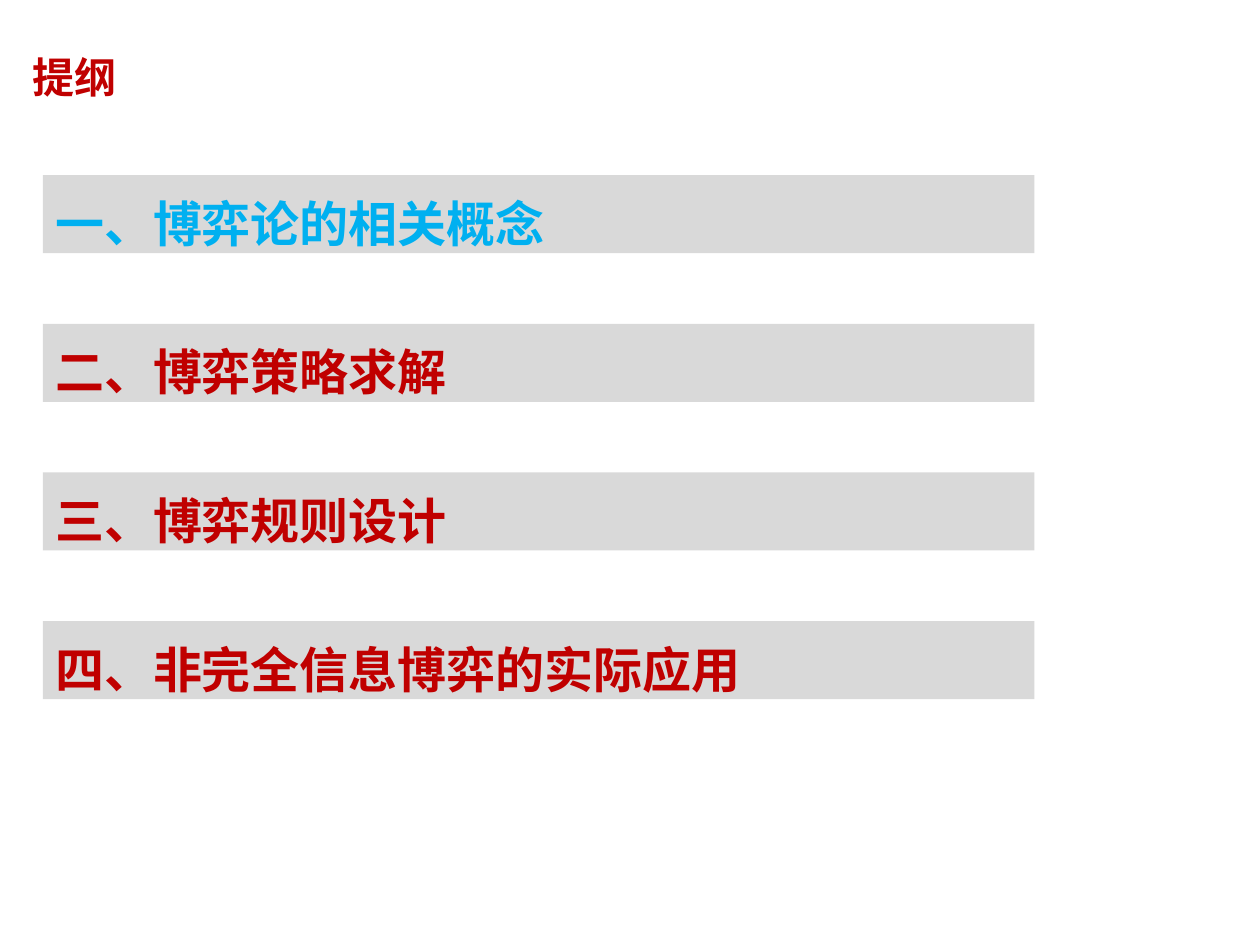
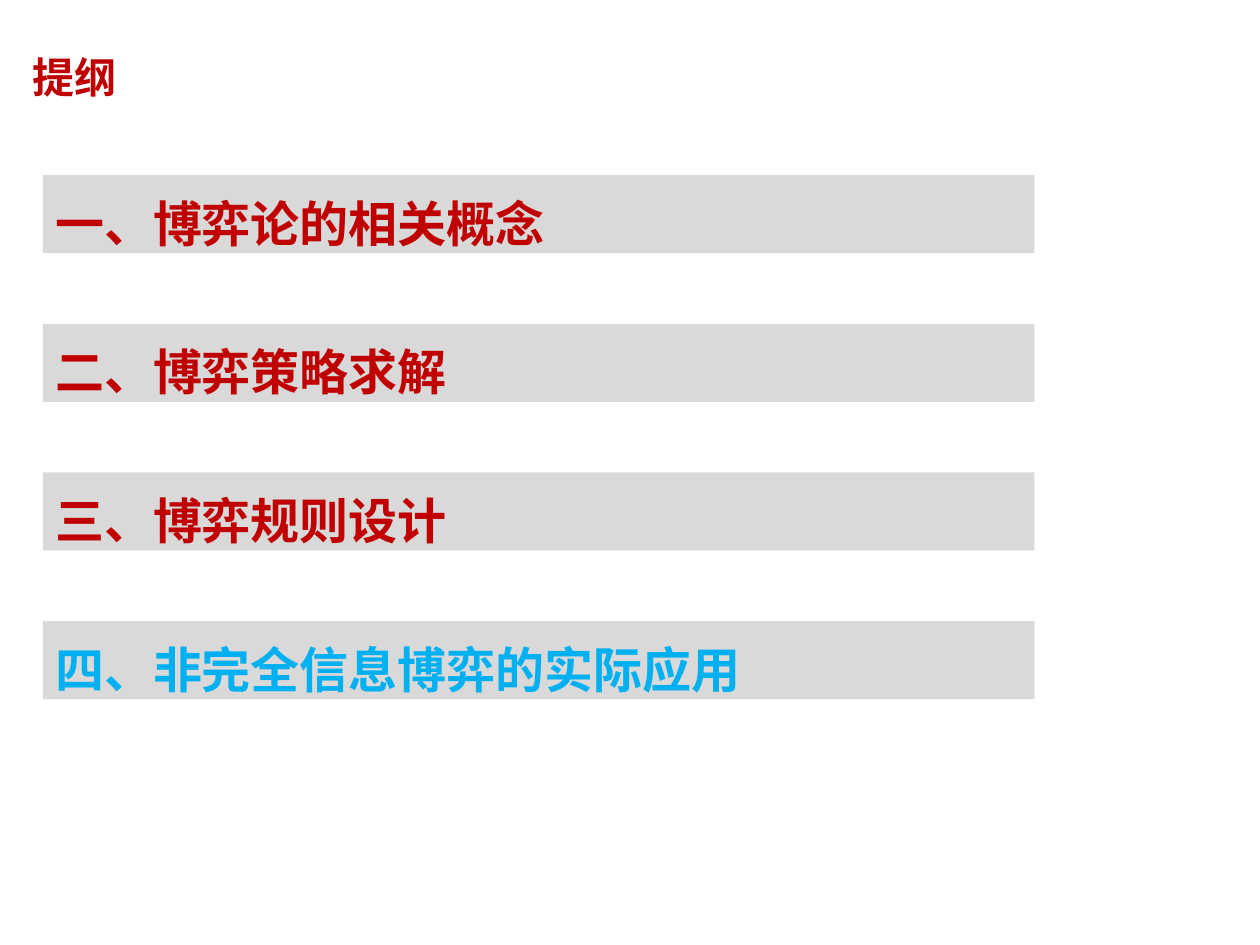
from pptx import Presentation
from pptx.dml.color import RGBColor
from pptx.enum.shapes import MSO_SHAPE as Shape
from pptx.enum.text import MSO_ANCHOR as Anchor, MSO_AUTO_SIZE as AutoSize, PP_ALIGN as Align
from pptx.util import Inches, Pt

RED = RGBColor(0xC0, 0x00, 0x00)
BLUE = RGBColor(0x00, 0xB0, 0xF0)
GREY = RGBColor(0xD9, 0xD9, 0xD9)

HEADING = "提纲"
CHAPTERS = [
    "一、博弈论的相关概念",
    "二、博弈策略求解",
    "三、博弈规则设计",
    "四、非完全信息博弈的实际应用",
]
CURRENT_CHAPTERS = [0, 3]  # the highlighted chapter of each slide

# Chapter bars, in percent of the slide's size
BAR_LEFT, BAR_WIDTH = 3.4, 78.7
BAR_TOP, BAR_HEIGHT, BAR_PITCH = 18.53, 8.27, 15.73


class Outline:
    """Holds the style and the current slide."""

    font_name = "Times New Roman"
    heading_size = Pt(24)
    chapter_size = Pt(28)

    def __init__(self):
        self.deck = Presentation()
        self.deck.slide_width = Inches(10)
        self.deck.slide_height = Inches(7.5)
        self.slide = None

    def new_slide(self):
        self.slide = self.deck.slides.add_slide(self.deck.slide_layouts[6])

    def area(self, left, top, width, height):
        """Turn percentages of the slide into lengths."""
        across, down = self.deck.slide_width / 100, self.deck.slide_height / 100
        return (round(left * across), round(top * down),
                round(width * across), round(height * down))

    def set_line(self, frame, text, size, color):
        frame.word_wrap = True
        frame.text = text
        line = frame.paragraphs[0]
        line.alignment = Align.LEFT
        font = line.runs[0].font
        font.name, font.size, font.bold = self.font_name, size, True
        font.color.rgb = color
        return line

    def heading(self, text):
        box = self.slide.shapes.add_textbox(*self.area(0.2, 1.47, 74.2, 13.2))
        frame = box.text_frame
        frame.vertical_anchor = Anchor.MIDDLE
        frame.margin_left = Inches(0.24)
        self.set_line(frame, text, self.heading_size, RED)

    def chapter_bar(self, row, text, color):
        top = BAR_TOP + row * BAR_PITCH
        bar = self.slide.shapes.add_shape(
            Shape.RECTANGLE, *self.area(BAR_LEFT, top, BAR_WIDTH, BAR_HEIGHT))
        bar.shadow.inherit = False
        bar.fill.solid()
        bar.fill.fore_color.rgb = GREY
        bar.line.fill.background()
        frame = bar.text_frame
        frame.vertical_anchor = Anchor.TOP
        frame.auto_size = AutoSize.SHAPE_TO_FIT_TEXT
        self.set_line(frame, text, self.chapter_size, color).line_spacing = 1.2


def main():
    outline = Outline()
    for current in CURRENT_CHAPTERS:
        outline.new_slide()
        outline.heading(HEADING)
        for row, chapter in enumerate(CHAPTERS):
            outline.chapter_bar(row, chapter, BLUE if row == current else RED)
    outline.deck.save("out.pptx")


if __name__ == "__main__":
    main()
